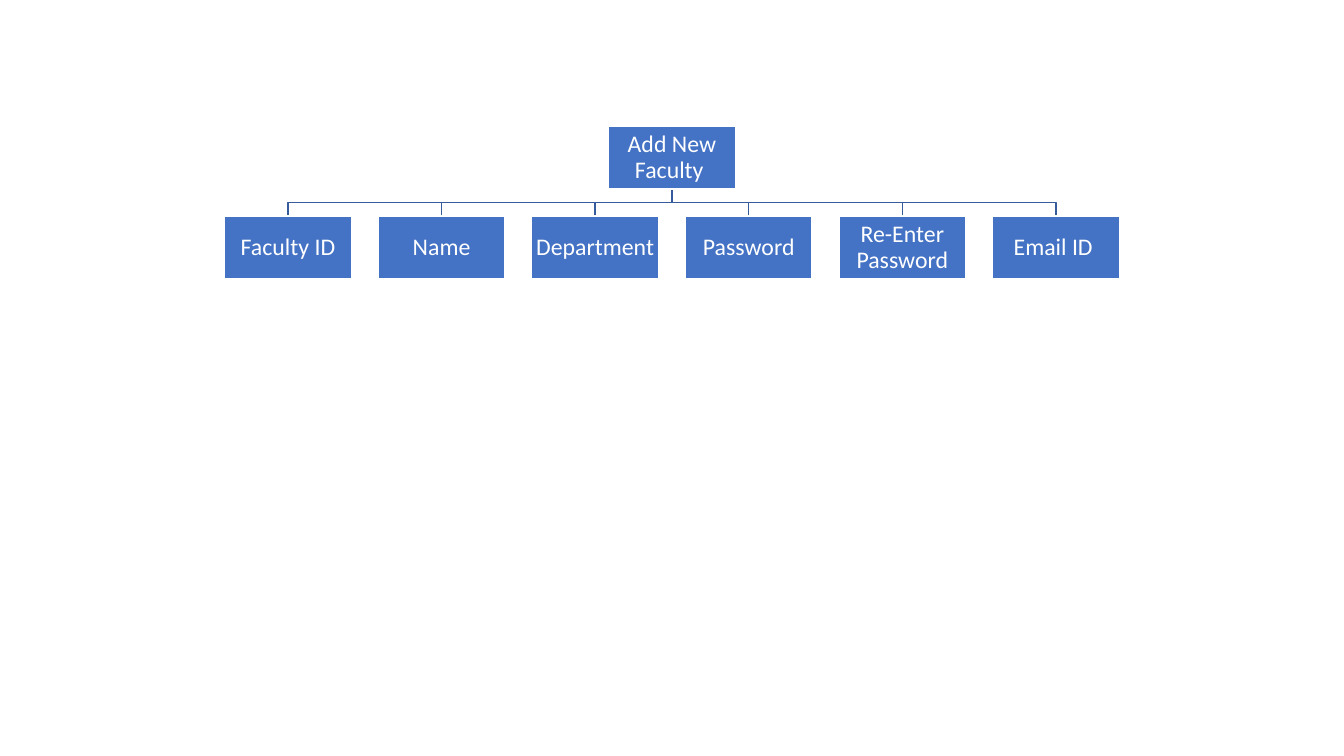
from pptx import Presentation
from pptx.dml.color import RGBColor
from pptx.enum.shapes import MSO_SHAPE as Shape
from pptx.enum.text import MSO_ANCHOR as Anchor, PP_ALIGN as Align
from pptx.util import Pt

SLIDE_WIDTH, SLIDE_HEIGHT = 1344, 756
EMU_PER_PX = 12192000 / SLIDE_WIDTH

BOX_BLUE = RGBColor(0x44, 0x72, 0xC4)
LINK_BLUE = RGBColor(0x36, 0x5B, 0x9D)
WHITE = RGBColor(0xFF, 0xFF, 0xFF)

BOX_WIDTH, BOX_HEIGHT = 127, 63
ROOT_CENTER, ROOT_TOP = SLIDE_WIDTH // 2, 126
FIRST_CENTER, LAST_CENTER, FIELD_TOP = 288, 1056, 216

ROOT = "Add New Faculty "
FIELDS = ["Faculty ID", "Name", "Department", "Password", "Re-Enter Password", "Email ID "]


def px(length):
    return round(length * EMU_PER_PX)


def apply_format(target, values):
    for name, value in values.items():
        setattr(target, name, value)


class ChartSlide:
    frame_format = {
        "word_wrap": True, "vertical_anchor": Anchor.MIDDLE,
        "margin_left": px(1), "margin_right": px(1),
        "margin_top": px(1), "margin_bottom": px(1),
    }
    paragraph_format = {"alignment": Align.CENTER, "line_spacing": 0.9, "space_after": Pt(6)}
    font_format = {"name": "Calibri", "size": Pt(17)}

    def __init__(self, slide):
        self.shapes = slide.shapes

    def outline(self, shape, color):
        shape.shadow.inherit = False
        shape.line.color.rgb = color
        shape.line.width = Pt(1)

    def box(self, text, center, top):
        shape = self.shapes.add_shape(
            Shape.RECTANGLE, px(center - BOX_WIDTH / 2), px(top), px(BOX_WIDTH), px(BOX_HEIGHT))
        shape.fill.solid()
        shape.fill.fore_color.rgb = BOX_BLUE
        self.outline(shape, WHITE)
        apply_format(shape.text_frame, self.frame_format)
        paragraph = shape.text_frame.paragraphs[0]
        apply_format(paragraph, self.paragraph_format)
        run = paragraph.add_run()
        run.text = text
        apply_format(run.font, self.font_format)
        run.font.color.rgb = WHITE

    def link(self, start, end):
        middle = (start[1] + end[1]) / 2
        corners = [(start[0], middle), (end[0], middle), end]
        builder = self.shapes.build_freeform(px(start[0]), px(start[1]))
        builder.add_line_segments([(px(x), px(y)) for x, y in corners], close=False)
        shape = builder.convert_to_shape()
        shape.fill.background()
        self.outline(shape, LINK_BLUE)


def main():
    presentation = Presentation()
    presentation.slide_width = px(SLIDE_WIDTH)
    presentation.slide_height = px(SLIDE_HEIGHT)
    chart = ChartSlide(presentation.slides.add_slide(presentation.slide_layouts[6]))

    pitch = (LAST_CENTER - FIRST_CENTER) / (len(FIELDS) - 1)
    centers = [FIRST_CENTER + index * pitch for index in range(len(FIELDS))]
    for center in reversed(centers):
        chart.link((ROOT_CENTER, ROOT_TOP + BOX_HEIGHT), (center, FIELD_TOP))
    chart.box(ROOT, ROOT_CENTER, ROOT_TOP)
    for field, center in zip(FIELDS, centers):
        chart.box(field, center, FIELD_TOP)

    presentation.save("out.pptx")


if __name__ == "__main__":
    main()
